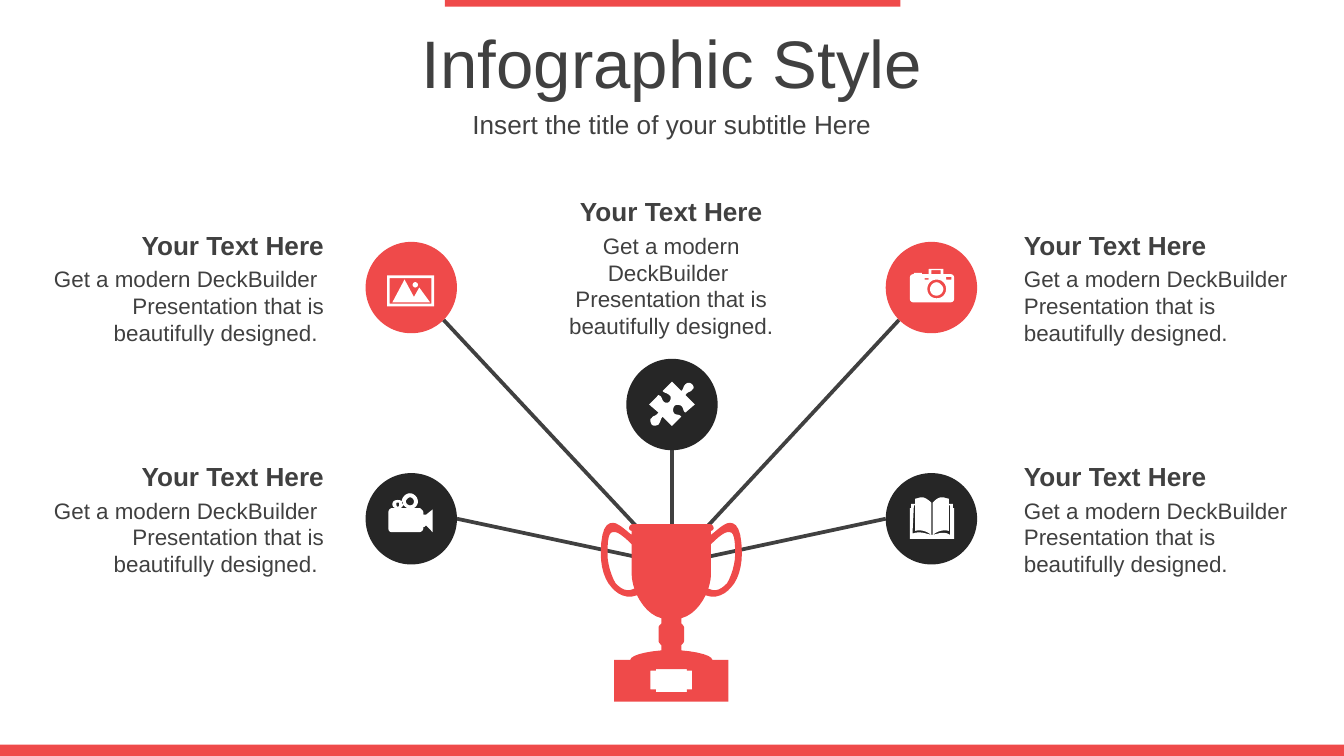
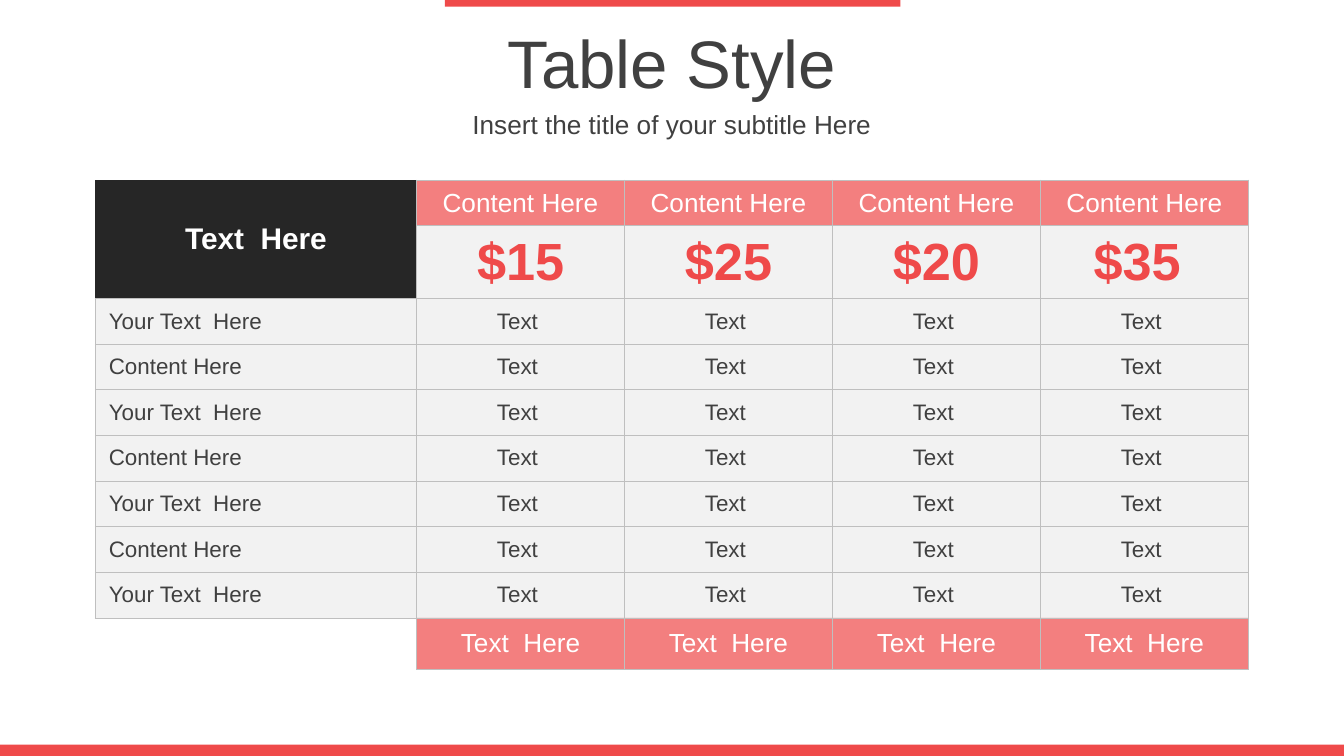
import math

from lxml import etree
from pptx import Presentation
from pptx.dml.color import RGBColor
from pptx.enum.shapes import MSO_CONNECTOR, MSO_SHAPE
from pptx.enum.text import MSO_ANCHOR, MSO_AUTO_SIZE, PP_ALIGN
from pptx.oxml.ns import qn
from pptx.util import Inches, Pt

STRAIGHT = MSO_CONNECTOR.STRAIGHT
RECTANGLE, OVAL = MSO_SHAPE.RECTANGLE, MSO_SHAPE.OVAL
LEFT, CENTER, RIGHT = PP_ALIGN.LEFT, PP_ALIGN.CENTER, PP_ALIGN.RIGHT
MIDDLE = MSO_ANCHOR.MIDDLE
NO_FIT, GROW = MSO_AUTO_SIZE.NONE, MSO_AUTO_SIZE.SHAPE_TO_FIT_TEXT

FONT = "Arial"
COLORS = {
    "red": "EF4A4A",
    "black": "262626",
    "text": "404040",
    "white": "FFFFFF",
    "pale": "F2F2F2",
    "border": "BFBFBF",
}
SUBTITLE = "Insert the title of your subtitle Here"
HEADING = "Your Text Here"
BLURB = "Get a modern DeckBuilder  Presentation that is beautifully designed."

CUP_HALF = (
    "M 5 3.9 L 5.28 3.9 C 5.29 3.9 5.31 3.91 5.31 3.93 C 5.31 3.94 5.3 3.95 5.29 3.95 "
    "L 5.29 3.98 C 5.33 3.95 5.39 3.89 5.43 3.89 C 5.48 3.89 5.52 3.94 5.52 4.12 "
    "C 5.52 4.22 5.49 4.32 5.44 4.37 C 5.4 4.42 5.33 4.46 5.25 4.43 "
    "C 5.21 4.51 5.15 4.58 5.07 4.6 L 5.07 4.64 C 5.08 4.65 5.09 4.66 5.09 4.67 "
    "L 5.09 4.77 C 5.09 4.78 5.08 4.79 5.07 4.8 L 5.07 4.84 "
    "C 5.2 4.85 5.3 4.88 5.3 4.91 L 5.42 4.91 5.42 5.22 5 5.22"
)
PLATE_HALF = "M 5 4.98 L 5.11 4.98 5.11 4.99 5.15 4.99 5.15 5.13 5.11 5.13 5.11 5.15 5 5.15"
HANDLE_HOLE = (
    "M 5.43 3.96 C 5.4 3.95 5.35 3.99 5.29 4.05 L 5.29 4.27 "
    "C 5.29 4.31 5.28 4.35 5.27 4.38 C 5.33 4.41 5.37 4.38 5.41 4.34 "
    "C 5.44 4.29 5.47 4.2 5.47 4.12 C 5.47 4.01 5.46 3.96 5.43 3.96"
)
PHOTO = (
    "M 2.88 2.05 L 3.23 2.05 3.23 2.28 2.88 2.28 M 2.9 2.07 L 2.9 2.26 3.21 2.26 3.21 2.07 "
    "M 3.01 2.08 L 3.08 2.21 3.12 2.14 3.2 2.25 2.92 2.25 "
    "M 3.09 2.1 C 3.1 2.1 3.11 2.11 3.11 2.12 C 3.11 2.13 3.1 2.14 3.09 2.14 "
    "C 3.08 2.14 3.07 2.13 3.07 2.12 C 3.07 2.11 3.08 2.1 3.09 2.1"
)
CAMERA = (
    "M 6.92 2 L 7.01 2 C 7.02 2 7.02 2 7.02 2.01 L 7.02 2.04 7.07 2.04 "
    "C 7.09 2.04 7.1 2.05 7.1 2.07 L 7.1 2.22 C 7.1 2.24 7.09 2.25 7.07 2.25 "
    "L 6.8 2.25 C 6.78 2.25 6.77 2.24 6.77 2.22 L 6.77 2.07 "
    "C 6.77 2.05 6.78 2.04 6.8 2.04 L 6.8 2.03 6.86 2.03 6.86 2.04 6.91 2.04 6.91 2.01 "
    "C 6.91 2 6.91 2 6.92 2 M 6.93 2.01 L 6.93 2.04 7 2.04 7 2.01 "
    "M 6.88 2.07 L 6.88 2.08 6.91 2.08 6.91 2.07 M 7.04 2.06 L 7.04 2.08 7.08 2.08 7.08 2.06 "
    "M 6.97 2.08 C 6.93 2.08 6.9 2.11 6.9 2.15 C 6.9 2.19 6.93 2.22 6.97 2.22 "
    "C 7.01 2.22 7.04 2.19 7.04 2.15 C 7.04 2.11 7.01 2.08 6.97 2.08 "
    "M 6.97 2.1 C 6.99 2.1 7.02 2.13 7.02 2.15 C 7.02 2.18 6.99 2.2 6.97 2.2 "
    "C 6.94 2.2 6.92 2.18 6.92 2.15 C 6.92 2.13 6.94 2.1 6.97 2.1"
)
FILM = (
    "M 3.05 3.67 C 3.08 3.67 3.11 3.7 3.11 3.73 C 3.11 3.75 3.1 3.77 3.08 3.78 "
    "L 3.12 3.78 C 3.13 3.78 3.15 3.8 3.15 3.81 L 3.15 3.83 3.17 3.83 3.22 3.79 "
    "3.22 3.96 3.17 3.91 3.16 3.92 3.15 3.92 3.15 3.93 C 3.15 3.95 3.13 3.96 3.12 3.96 "
    "L 2.92 3.96 C 2.9 3.96 2.89 3.95 2.89 3.93 L 2.89 3.81 "
    "C 2.89 3.8 2.9 3.78 2.92 3.78 L 2.95 3.78 C 2.93 3.78 2.92 3.77 2.92 3.75 "
    "C 2.92 3.73 2.94 3.72 2.96 3.72 C 2.98 3.72 3 3.73 3 3.75 "
    "C 3 3.77 2.99 3.78 2.97 3.78 L 3.03 3.78 C 3.01 3.77 2.99 3.75 2.99 3.73 "
    "C 2.99 3.7 3.02 3.67 3.05 3.67 "
    "M 3.05 3.7 C 3.04 3.7 3.02 3.72 3.02 3.73 C 3.02 3.75 3.04 3.76 3.05 3.76 "
    "C 3.07 3.76 3.08 3.75 3.08 3.73 C 3.08 3.72 3.07 3.7 3.05 3.7 "
    "M 2.96 3.74 C 2.95 3.74 2.95 3.74 2.95 3.75 C 2.95 3.76 2.95 3.77 2.96 3.77 "
    "C 2.97 3.77 2.97 3.76 2.97 3.75 C 2.97 3.74 2.97 3.74 2.96 3.74"
)
BOOK = (
    "M 6.93 3.98 L 6.94 3.98 C 6.99 3.97 7.02 3.95 7.07 3.98 L 7.07 3.76 7.06 3.76 "
    "7.06 3.95 C 7.02 3.94 6.98 3.95 6.94 3.98 L 6.94 3.74 C 6.96 3.72 6.98 3.7 7.01 3.7 "
    "C 7.03 3.7 7.04 3.71 7.06 3.71 L 7.06 3.75 7.09 3.75 7.09 3.78 7.1 3.78 7.1 4.01 "
    "6.77 4.01 6.77 3.78 6.78 3.78 6.78 3.75 6.81 3.75 6.81 3.71 "
    "C 6.83 3.71 6.84 3.7 6.86 3.7 C 6.88 3.7 6.91 3.72 6.93 3.74 L 6.93 3.98 "
    "C 6.89 3.95 6.85 3.94 6.81 3.95 L 6.81 3.76 6.8 3.76 6.79 3.97 "
    "C 6.85 3.95 6.88 3.97 6.93 3.98"
)
PUZZLE = (
    "M 5.15 2.86 C 5.16 2.87 5.17 2.89 5.15 2.9 C 5.14 2.92 5.12 2.91 5.1 2.94 "
    "L 5.17 3.01 5.1 3.07 C 5.08 3.06 5.09 3.04 5.07 3.02 C 5.05 3.01 5.03 3.01 5.02 3.02 "
    "C 5.01 3.03 5 3.06 5.02 3.08 C 5.04 3.09 5.05 3.08 5.07 3.1 L 5 3.17 4.93 3.1 "
    "C 4.91 3.13 4.92 3.13 4.9 3.16 C 4.88 3.17 4.86 3.17 4.85 3.16 "
    "C 4.84 3.14 4.83 3.12 4.85 3.11 C 4.86 3.09 4.88 3.1 4.9 3.07 L 4.83 3.01 4.9 2.94 "
    "C 4.93 2.95 4.92 2.97 4.94 2.99 C 4.95 3 4.97 3 4.98 2.99 "
    "C 4.99 2.98 5 2.95 4.98 2.94 C 4.96 2.92 4.95 2.93 4.93 2.91 L 5 2.84 5.07 2.91 "
    "C 5.09 2.89 5.08 2.88 5.1 2.86 C 5.12 2.84 5.14 2.85 5.15 2.86"
)


def contours(outline, steps=6):
    """Turn an outline string into lists of points, with curves flattened."""
    result = []
    for part in outline.split("M")[1:]:
        points = []
        for piece in part.replace("L", "|L").replace("C", "|C").split("|"):
            curved = piece.startswith("C")
            numbers = [float(word) for word in piece.strip("LC ").split()]
            pairs = list(zip(numbers[::2], numbers[1::2]))
            if not curved:
                points += pairs
                continue
            controls = [points[-1]] + pairs
            for step in range(1, steps + 1):
                t = step / steps
                weights = [math.comb(3, i) * t**i * (1 - t) ** (3 - i) for i in range(4)]
                points.append(tuple(
                    sum(w * point[axis] for w, point in zip(weights, controls))
                    for axis in (0, 1)
                ))
        result.append(points)
    return result


def mirrored(points, span=9.99):
    """Reflect points about the middle of the span, in reverse order."""
    return [(span - x, y) for x, y in reversed(points)]


class SlidePainter:
    """Holds the deck style and the slide being drawn."""

    def __init__(self):
        self.deck = Presentation()
        self.deck.slide_width = Inches(10)
        self.deck.slide_height = Inches(10 * 9 / 16)
        self.page = None

    def add_page(self, title):
        self.page = self.deck.slides.add_slide(self.deck.slide_layouts[5])
        self.shape(RECTANGLE, 3.31, 0, 3.39, 0.05, "red")
        self.shape(RECTANGLE, 0, 5.54, 10, 0.09, "red")
        self.place_text(self.page.shapes.title, 0, 0.14, 10, 0.63, title, 36, CENTER)
        self.text(0, 0.77, 10, 0.31, SUBTITLE, 14, CENTER)

    def format(self, para, size, color, align, bold=False):
        para.alignment = align
        para.font.name, para.font.size, para.font.bold = FONT, Pt(size), bold
        para.font.color.rgb = RGBColor.from_string(COLORS[color])

    def place_text(self, box, left, top, width, height, words, size, align,
                   bold=False, fit=NO_FIT):
        box.left, box.top = Inches(left), Inches(top)
        box.width, box.height = Inches(width), Inches(height)
        frame = box.text_frame
        frame.text = words
        frame.word_wrap, frame.auto_size, frame.vertical_anchor = True, fit, MIDDLE
        para = frame.paragraphs[0]
        para.space_before = Pt(0)
        self.format(para, size, "text", align, bold)

    def text(self, left, top, width, height, *style, **options):
        box = self.page.shapes.add_textbox(0, 0, 0, 0)
        self.place_text(box, left, top, width, height, *style, **options)

    def paint(self, shape, color):
        shape.shadow.inherit = False
        shape.fill.solid()
        shape.fill.fore_color.rgb = RGBColor.from_string(COLORS[color])
        shape.line.fill.background()

    def shape(self, kind, left, top, width, height, color):
        lengths = [Inches(value) for value in (left, top, width, height)]
        self.paint(self.page.shapes.add_shape(kind, *lengths), color)

    def outline(self, point_lists, color):
        scaled = [[(Inches(x), Inches(y)) for x, y in points] for points in point_lists]
        builder = self.page.shapes.build_freeform(*scaled[0][0], scale=1.0)
        builder.add_line_segments(scaled[0][1:], close=True)
        for points in scaled[1:]:
            builder.move_to(*points[0])
            builder.add_line_segments(points[1:], close=True)
        self.paint(builder.convert_to_shape(), color)

    def line(self, start, end):
        lengths = [Inches(value) for value in start + end]
        connector = self.page.shapes.add_connector(STRAIGHT, *lengths)
        connector.line.width = Pt(2)
        connector.line.color.rgb = RGBColor.from_string(COLORS["text"])
        etree.SubElement(connector._element.spPr, qn("a:effectLst"))

    def table(self, left, top, columns, rows):
        table = self.page.shapes.add_table(
            len(rows), len(columns), Inches(left), Inches(top),
            Inches(sum(columns)), Inches(sum(rows))).table
        table.first_row = table.horz_banding = False
        for column, width in zip(table.columns, columns):
            column.width = Inches(width)
        for row, height in zip(table.rows, rows):
            row.height = Inches(height)
        return table

    def cell(self, cell, words, size, color, fill, align=CENTER, bold=False,
             opacity=100, sides="LRTB"):
        cell.text = words
        cell.vertical_anchor = MIDDLE
        self.format(cell.text_frame.paragraphs[0], size, color, align, bold)
        if fill:
            cell.fill.solid()
            cell.fill.fore_color.rgb = RGBColor.from_string(COLORS[fill])
        else:
            cell.fill.background()
        properties = cell._tc.get_or_add_tcPr()
        if opacity < 100:
            tint = properties.find(".//" + qn("a:srgbClr"))
            etree.SubElement(tint, qn("a:alpha"), val=str(opacity * 1000))
        for index, side in enumerate("LRTB"):
            border = etree.Element(qn("a:ln" + side), w=str(Pt(0.5)))
            properties.insert(index, border)
            if side in sides:
                paint = etree.SubElement(border, qn("a:solidFill"))
                etree.SubElement(paint, qn("a:srgbClr"), val=COLORS["border"])
            else:
                etree.SubElement(border, qn("a:noFill"))


def draw_infographic(painter):
    painter.add_page("Infographic Style")
    diameter, hub = 0.68, (5, 4.2)
    topics = [
        (2.72, 1.8, "red", PHOTO, 45, 0.28, 1.65, 2.23, 0.71, RIGHT),
        (2.72, 3.52, "black", FILM, 0, 0.28, 3.37, 2.23, 0.71, RIGHT),
        (4.66, 2.67, "black", PUZZLE, 90, 3.96, 1.4, 2.07, 0.91, CENTER),
        (6.59, 1.8, "red", CAMERA, 135, 7.52, 1.65, 2.23, 0.71, LEFT),
        (6.59, 3.52, "black", BOOK, 180, 7.52, 3.37, 2.23, 0.71, LEFT),
    ]
    radius = diameter / 2
    for x, y, _, _, degrees, *_ in topics:
        angle = math.radians(degrees)
        start = (x + radius * (1 + math.cos(angle)), y + radius * (1 + math.sin(angle)))
        painter.line(start, hub)
    cup, plate, hole = (contours(part)[0] for part in (CUP_HALF, PLATE_HALF, HANDLE_HOLE))
    painter.outline(
        [cup + mirrored(cup), plate + mirrored(plate), hole, mirrored(hole)], "red")
    for x, y, color, icon, _, left, top, width, height, align in topics:
        painter.shape(OVAL, x, y, diameter, diameter, color)
        painter.outline(contours(icon), "white")
        blurb = BLURB + " " if align == RIGHT else BLURB
        painter.text(left, top, width, 0.34, HEADING, 14, align, bold=True, fit=GROW)
        painter.text(left, top + 0.27, width, height, blurb, 12, align, fit=GROW)


def draw_table(painter):
    painter.add_page("Table Style")
    prices = ["$15", "$25", "$20", "$35 "]
    labels = [("Your Text  Here", "Content Here")[i % 2] for i in range(7)]
    columns = [2.39] + [(8.58 - 2.39) / 4] * 4
    table = painter.table(0.71, 1.34, columns, [0.34, 0.54] + [0.34] * 7 + [0.38])
    last = len(labels) + 2
    table.cell(0, 0).merge(table.cell(1, 0))
    painter.cell(table.cell(0, 0), "Text  Here", 16, "white", "black", bold=True, sides="RB")
    painter.cell(table.cell(last, 0), "", 14, "text", None, sides="RT")
    for row, label in enumerate(labels, 2):
        painter.cell(table.cell(row, 0), label, 12, "text", "pale", LEFT)
    for column, price in enumerate(prices, 1):
        painter.cell(table.cell(0, column), "Content Here", 14, "white", "red", opacity=70)
        painter.cell(table.cell(1, column), price, 28, "red", "pale", bold=True)
        for row in range(2, last):
            painter.cell(table.cell(row, column), "Text ", 12, "text", "pale")
        painter.cell(table.cell(last, column), "Text  Here", 14, "white", "red", opacity=70)


def main():
    painter = SlidePainter()
    draw_infographic(painter)
    draw_table(painter)
    painter.deck.save("out.pptx")


if __name__ == "__main__":
    main()
